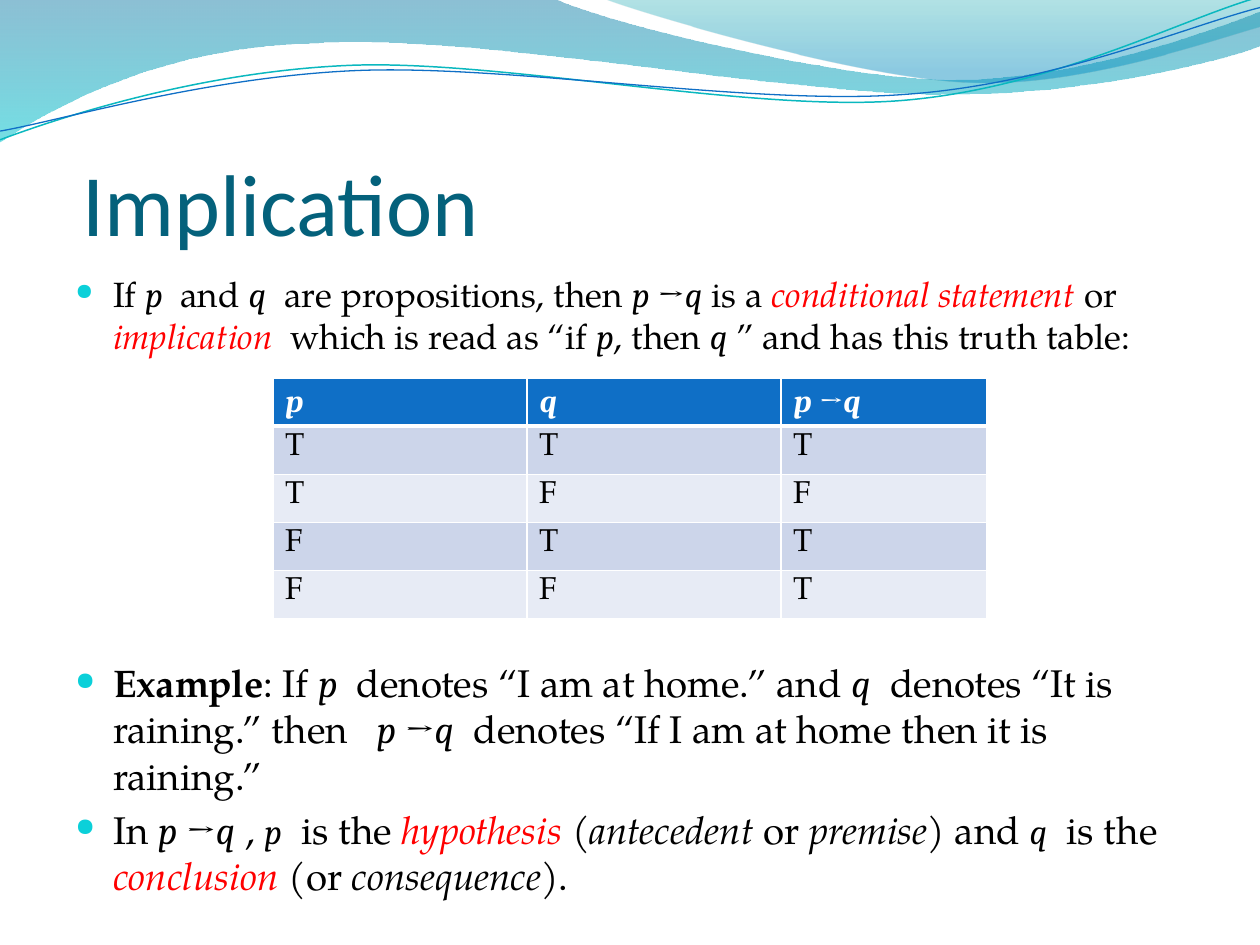
"""Build a slide that defines logical implication with its truth table."""
from lxml import etree
from pptx import Presentation
from pptx.dml.color import RGBColor
from pptx.enum import text
from pptx.oxml import ns
from pptx.util import Pt

BLACK = RGBColor(0x00, 0x00, 0x00)
WHITE = RGBColor(0xFF, 0xFF, 0xFF)
RED = RGBColor(0xFF, 0x00, 0x00)
TITLE_TEAL = RGBColor(0x04, 0x61, 0x7B)
BULLET_CYAN = RGBColor(0x0B, 0xD0, 0xD9)
HEADER_BLUE = RGBColor(0x0F, 0x6F, 0xC6)
BAND_DARK = RGBColor(0xCC, 0xD5, 0xEA)
BAND_LIGHT = RGBColor(0xE7, 0xEB, 0xF5)
LINE_TEAL = RGBColor(0x0A, 0xB8, 0xBF)
WAVE_BLUE = RGBColor(0x00, 0x74, 0xA1)
WAVE_CYAN = RGBColor(0x00, 0xC6, 0xCF)
CREST_GREEN = RGBColor(0x00, 0xA1, 0xA9)
CREST_BLUE = RGBColor(0x00, 0x8B, 0xBF)

SERIF, MATH, SANS = "TeX Gyre Pagella", "Cambria", "Calibri"
PLAIN = {"face": SERIF}
BOLD = {"face": SERIF, "bold": True}
ITALIC = {"face": SERIF, "italic": True}
TERM = {"face": SERIF, "italic": True, "color": RED}
VAR = {"face": MATH, "italic": True}
SMALL_VAR = {**VAR, "size": 20}
ARROW = {"face": MATH}
P, Q = ("p", VAR), ("q", VAR)
P_IMPLIES_Q = [("p ", VAR), ("→", ARROW), Q]

DEFINITION = [
    ("If ", PLAIN), P, ("  and ", PLAIN), Q, ("  are propositions, then ", PLAIN),
    *P_IMPLIES_Q, (" is a ", PLAIN), ("conditional statement ", TERM), ("or ", PLAIN),
    ("implication ", TERM), (" which is read as “if ", PLAIN), P, (", then ", PLAIN), Q,
    (" ” and has this truth table:", PLAIN),
]
EXAMPLE = [
    ("Example", BOLD), (": If ", PLAIN), P, ("  denotes “I am at home.” and ", PLAIN), Q,
    ("  denotes “It is raining.” then   ", PLAIN), *P_IMPLIES_Q,
    ("  denotes “If I am at home then it is raining.”", PLAIN),
]
TERMS = [
    ("In ", PLAIN), *P_IMPLIES_Q, (" , ", PLAIN), ("p", SMALL_VAR), ("  is the ", PLAIN),
    ("hypothesis", TERM), (" (", PLAIN), ("antecedent", ITALIC), (" or ", PLAIN),
    ("premise", ITALIC), (") and ", PLAIN), ("q", SMALL_VAR), ("  is the ", PLAIN),
    ("conclusion", TERM), (" (or ", PLAIN), ("consequence", ITALIC), (").", PLAIN),
]
TRUTH_HEADER = [[P], [Q], P_IMPLIES_Q]
TRUTH_ROWS = ["TTT", "TFF", "FTT", "FFT"]

WAVE = [
    (0, 0), (316.8, -0.7),
    (342.7, 12.2, 478, 45.4, 545.8, 45.4), (614.2, 45.4, 689.8, 18.7, 720, 6.5),
    (720.7, 25.9),
    (707.8, 31.7, 626.4, 54.7, 537.1, 54), (447.8, 54, 275, 20.2, 185, 24.5),
    (92.9, 25.9, 33.1, 59.8, -0.7, 81.4),
]
CREST = [
    (344.9, -0.7),
    (366.5, 7.9, 491, 44.6, 553.7, 46.8), (616.3, 49.7, 691.9, 23, 720, 15.1),
    (720, 0),
]
TEAL_RIPPLE = [
    (0, 79.9), (34.6, 67, 113.8, 41, 199.4, 37.4),
    (284.4, 33.8, 427, 64.1, 513.4, 57.6), (599.8, 51.1, 675.4, 10.8, 718.6, -1.4),
]
BLUE_RIPPLE = [
    (0, 74.9), (33.8, 69.1, 118.1, 43.9, 203.8, 40.3),
    (290.2, 36.7, 429.8, 60.5, 516.2, 54), (601.9, 48.2, 677.5, 15.1, 720, 4.3),
]


def add_outline(slide, outline, closed):
    """Add a shadowless freeform; six-number segments become cubic curves."""
    points = [(Pt(segment[i]), Pt(segment[i + 1]))
              for segment in outline for i in range(0, len(segment), 2)]
    builder = slide.shapes.build_freeform(*points[0])
    builder.add_line_segments(points[1:], close=closed)
    shape = builder.convert_to_shape()
    shape.shadow.inherit = False
    steps = iter(list(shape._element.spPr.iter(ns.qn("a:lnTo"))))
    for segment in outline[1:]:
        first = next(steps)
        if len(segment) == 6:
            first.tag = ns.qn("a:cubicBezTo")
            for _ in range(2):
                control = next(steps)
                first.append(control[0])
                control.getparent().remove(control)
    return shape


def add_wave(slide, outline, stops):
    """Add a translucent wave; stops hold position, colour and opacity percent."""
    wave = add_outline(slide, outline, True)
    wave.line.fill.background()
    wave.fill.gradient()
    wave.fill.gradient_angle = 270
    for stop, (position, color, _) in zip(wave.fill.gradient_stops, stops):
        stop.position = position
        stop.color.rgb = color
    colors = wave._element.spPr.iter(ns.qn("a:srgbClr"))
    for node, (_, _, opacity) in zip(colors, stops):
        etree.SubElement(node, ns.qn("a:alpha"), val=str(opacity * 1000))


def add_ripple(slide, outline, color, width):
    """Add a thin open curve."""
    ripple = add_outline(slide, outline, False)
    ripple.fill.background()
    ripple.line.color.rgb = color
    ripple.line.width = Pt(width)


def add_runs(paragraph, runs, size, color=BLACK, bold=False):
    """Add styled runs, with defaults for what a style leaves open."""
    for words, style in runs:
        run = paragraph.add_run()
        run.text = words
        run.font.name = style["face"]
        run.font.size = Pt(style.get("size", size))
        run.font.bold = style.get("bold", bold)
        run.font.italic = style.get("italic", False)
        run.font.color.rgb = style.get("color", color)


def add_title(slide, words):
    """Add the bottom-anchored title."""
    frame = slide.shapes.add_textbox(Pt(36), Pt(55), Pt(648), Pt(90)).text_frame
    frame.word_wrap = True
    frame.vertical_anchor = text.MSO_ANCHOR.BOTTOM
    frame.margin_left, frame.margin_right, frame.margin_bottom = Pt(11.3), 0, 0
    add_runs(frame.paragraphs[0], [(words, {"face": SANS})], 50, TITLE_TEAL)


def add_bullets(slide, items):
    """Add the body; items hold runs, text size and the space before."""
    frame = slide.shapes.add_textbox(Pt(36), Pt(152.2), Pt(648), Pt(345.6)).text_frame
    frame.word_wrap = True
    for index, (runs, size, gap) in enumerate(items):
        paragraph = frame.add_paragraph() if index else frame.paragraphs[0]
        paragraph.space_before = Pt(gap)
        props = paragraph._p.get_or_add_pPr()
        props.set("marL", str(Pt(21.6)))
        props.set("indent", str(Pt(-21.6)))
        color = etree.SubElement(props, ns.qn("a:buClr"))
        etree.SubElement(color, ns.qn("a:srgbClr"), val=str(BULLET_CYAN))
        etree.SubElement(props, ns.qn("a:buSzPct"), val="65000")
        etree.SubElement(props, ns.qn("a:buChar"), char="●")
        add_runs(paragraph, runs, size)


def style_cell(cell, fill, top, bottom):
    """Set white borders, the lower margin and the fill of a cell."""
    cell.margin_bottom = Pt(2)
    props = cell._tc.get_or_add_tcPr()
    for side, width in (("L", 1), ("R", 1), ("T", top), ("B", bottom)):
        border = etree.SubElement(props, ns.qn(f"a:ln{side}"), w=str(Pt(width)))
        solid = etree.SubElement(border, ns.qn("a:solidFill"))
        etree.SubElement(solid, ns.qn("a:srgbClr"), val=str(WHITE))
    cell.fill.solid()
    cell.fill.fore_color.rgb = fill


def add_truth_table(slide):
    """Add the truth table of the implication."""
    rows = TRUTH_HEADER, *([[(value, PLAIN)] for value in row] for row in TRUTH_ROWS)
    table = slide.shapes.add_table(
        len(rows), 3, Pt(156), Pt(216), Pt(408), Pt(138)).table
    table.horz_banding = False
    for column, width in zip(table.columns, (145.2, 145.2, 117.4)):
        column.width = Pt(width)
    for r, row in enumerate(rows):
        table.rows[r].height = Pt(27.55)
        header = r == 0
        fill = HEADER_BLUE if header else BAND_DARK if r % 2 else BAND_LIGHT
        for c, runs in enumerate(row):
            cell = table.cell(r, c)
            style_cell(cell, fill, 3 if r == 1 else 1, 3 if header else 1)
            add_runs(cell.text_frame.paragraphs[0], runs, 18,
                     WHITE if header else BLACK, header)


def main():
    """Build and save the slide."""
    deck = Presentation()
    deck.slide_width, deck.slide_height = Pt(720), Pt(540)
    slide = deck.slides.add_slide(deck.slide_layouts[6])
    add_wave(slide, WAVE, [(0, WAVE_BLUE, 45), (1, WAVE_CYAN, 55)])
    add_wave(slide, CREST, [(0, CREST_GREEN, 30), (0.8, CREST_BLUE, 45)])
    add_ripple(slide, TEAL_RIPPLE, LINE_TEAL, 0.85)
    add_ripple(slide, BLUE_RIPPLE, HEADER_BLUE, 0.75)
    add_title(slide, "Implication")
    add_bullets(slide, [(DEFINITION, 20, 4), (EXAMPLE, 22, 173), (TERMS, 22, 4.4)])
    add_truth_table(slide)
    deck.save("out.pptx")


if __name__ == "__main__":
    main()
